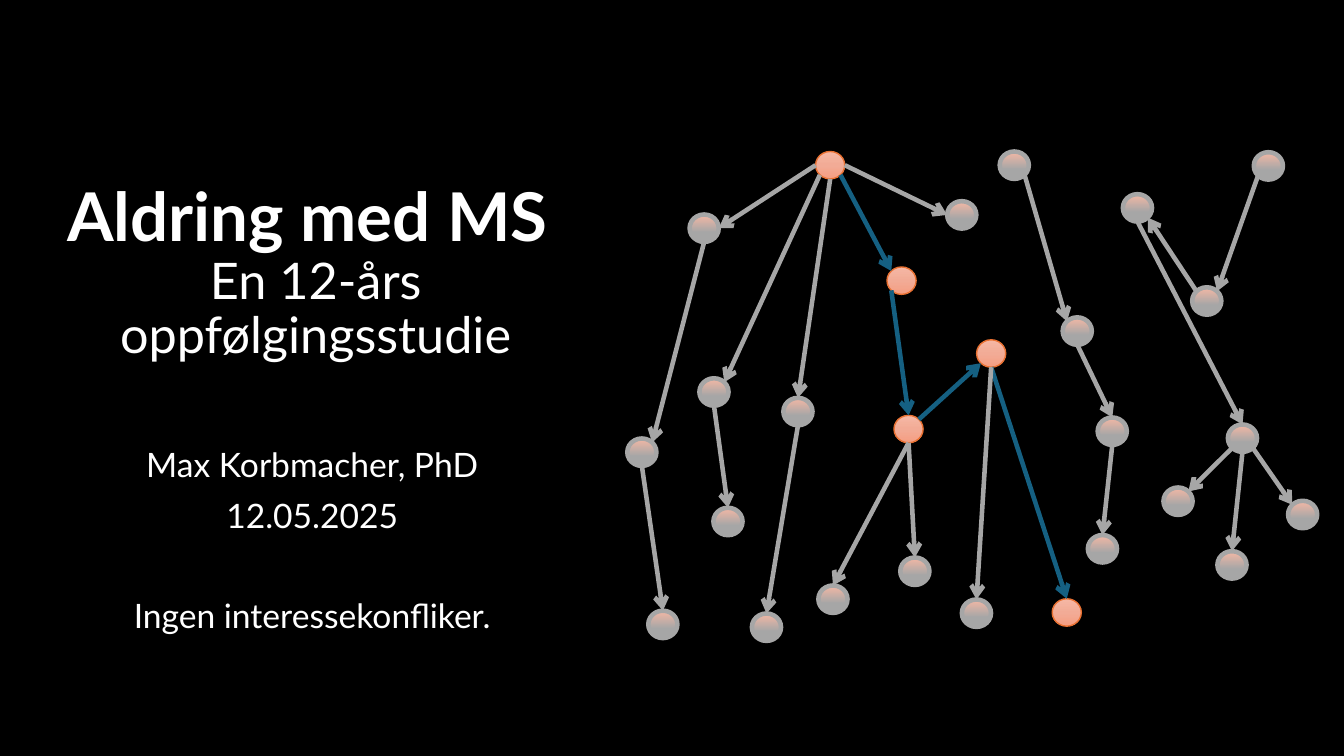
import copy
import math

import lxml.etree
import pptx
import pptx.dml.color
import pptx.enum.shapes
import pptx.enum.text
import pptx.oxml.ns
import pptx.util

Pt = pptx.util.Pt
RGB = pptx.dml.color.RGBColor
qn = pptx.oxml.ns.qn

BLACK = RGB(0x00, 0x00, 0x00)
WHITE = RGB(0xFF, 0xFF, 0xFF)
GREY = RGB(0xA6, 0xA6, 0xA6)
BLUE = RGB(0x15, 0x60, 0x82)
ORANGE = RGB(0xE9, 0x71, 0x32)
PEACH_LIGHT = RGB(0xF5, 0xB8, 0xA5)
PEACH_MID = RGB(0xF2, 0xAB, 0x96)
PEACH_DARK = RGB(0xF5, 0x9E, 0x82)

NODE_W, NODE_H = 20.8, 19.6

# Node centres in points
PATH_NODES = {
    "root": (593, 118), "p1": (644, 200.5), "p2": (649, 306.5),
    "p3": (708, 252.5), "p4": (762, 437.5),
}
GREY_NODES = {
    "a1": (503, 163), "a2": (458.5, 323), "a3": (473.5, 446),
    "b1": (510, 280), "b2": (520, 372.5),
    "c1": (570, 294), "c2": (547.5, 448),
    "d1": (687, 153.5),
    "e1": (595, 428), "e2": (653.5, 408), "e3": (697.5, 438),
    "f1": (724.5, 118), "f2": (769.5, 236.5), "f3": (794.5, 308), "f4": (787.5, 392),
    "g1": (906, 118.5), "g2": (862, 215), "g3": (812.5, 148.5), "g4": (887.5, 313),
    "g5": (841.5, 358), "g6": (880, 403.5), "g7": (930.5, 367.5),
}

# Clockwise angle of each site on a node, from the right
SITES = {"R": 0, "BR": 45, "B": 90, "BL": 135, "L": 180, "TL": 225, "T": 270, "TR": 315}

# Start node and site, end node and site
PATH_ARROWS = [
    ("root", "BR", "p1", "TL"), ("p1", "BL", "p2", "T"),
    ("p2", "TR", "p3", "BL"), ("p3", "B", "p4", "T"),
]
GREY_ARROWS = [
    ("root", "L", "a1", "R"), ("root", "BL", "b1", "TR"),
    ("root", "B", "c1", "T"), ("root", "R", "d1", "L"),
    ("a1", "B", "a2", "TR"), ("a2", "B", "a3", "T"),
    ("b1", "B", "b2", "T"), ("c1", "B", "c2", "T"),
    ("p2", "B", "e1", "T"), ("p2", "B", "e2", "T"), ("p3", "B", "e3", "T"),
    ("f1", "BR", "f2", "TL"), ("f2", "B", "f3", "T"), ("f3", "B", "f4", "T"),
    ("g1", "BL", "g2", "TR"), ("g2", "TL", "g3", "BR"), ("g3", "B", "g4", "T"),
    ("g4", "BL", "g5", "TR"), ("g4", "B", "g6", "T"), ("g4", "BR", "g7", "TL"),
]


def site_point(centre, site):
    angle = math.radians(SITES[site])
    return (centre[0] + NODE_W / 2 * math.cos(angle),
            centre[1] + NODE_H / 2 * math.sin(angle))


class Deck:
    font = "Lato"
    text_color = WHITE
    arrow_width = 3.25

    def __init__(self):
        self.prs = pptx.Presentation()
        self.prs.slide_width, self.prs.slide_height = Pt(960), Pt(540)

    def add_slide(self, color):
        self.s = self.prs.slides.add_slide(self.prs.slide_layouts[6])
        self.s.background.fill.solid()
        self.s.background.fill.fore_color.rgb = color

    def text_box(self, x, y, w, h):
        tf = self.s.shapes.add_textbox(Pt(x), Pt(y), Pt(w), Pt(h)).text_frame
        tf.word_wrap = True
        tf.vertical_anchor = pptx.enum.text.MSO_ANCHOR.MIDDLE
        return tf

    def style(self, p, size):
        p.alignment = pptx.enum.text.PP_ALIGN.CENTER
        p.line_spacing = 0.9
        p.font.name, p.font.size = self.font, Pt(size)
        p.font.color.rgb = self.text_color

    def title(self, box, heading, subheading):
        p = self.text_box(*box).paragraphs[0]
        self.style(p, 36)
        r = p.add_run()
        r.text = heading
        r.font.size, r.font.bold = Pt(48), True
        p.add_line_break()
        p.add_run().text = subheading

    def lines(self, box, items):
        """Write (text, space before) items as paragraphs."""
        tf = self.text_box(*box)
        for i, (text, space) in enumerate(items):
            p = tf.add_paragraph() if i else tf.paragraphs[0]
            p.text = text
            p.space_before = Pt(space)
            self.style(p, 24)

    def node(self, centre, stops, line_color, line_width):
        x, y = centre
        sp = self.s.shapes.add_shape(
            pptx.enum.shapes.MSO_SHAPE.OVAL,
            Pt(x - NODE_W / 2), Pt(y - NODE_H / 2), Pt(NODE_W), Pt(NODE_H))
        sp.shadow.inherit = False
        sp.fill.gradient()
        sp.fill.gradient_angle = 270
        gs_list = sp._element.spPr.find(qn("a:gradFill")).find(qn("a:gsLst"))
        gs_list.append(copy.deepcopy(gs_list[-1]))
        for stop, (position, color) in zip(sp.fill.gradient_stops, stops):
            stop.position = position
            stop.color.rgb = color
        sp.line.color.rgb = line_color
        sp.line.width = Pt(line_width)

    def arrow(self, start, end, color):
        c = self.s.shapes.add_connector(
            pptx.enum.shapes.MSO_CONNECTOR.STRAIGHT, *map(Pt, start + end))
        c.line.color.rgb = color
        c.line.width = Pt(self.arrow_width)
        spPr = c._element.spPr
        lxml.etree.SubElement(spPr.find(qn("a:ln")), qn("a:tailEnd"), type="arrow")
        lxml.etree.SubElement(spPr, qn("a:effectLst"))


def main():
    deck = Deck()
    deck.add_slide(BLACK)
    deck.lines((63.5, 306.5, 319, 162), [
        ("Max Korbmacher, PhD", 0),
        ("12.05.2025", 10),
        ("Ingen interessekonfliker.", 46),
    ])
    deck.title((13, 101.5, 425, 188), "Aldring med MS ", "En 12-års oppfølgingsstudie")

    peach = [(0, PEACH_LIGHT), (0.5, PEACH_MID), (1, PEACH_DARK)]
    faded = [(0, PEACH_LIGHT), (0.65, GREY), (1, GREY)]
    for centre in PATH_NODES.values():
        deck.node(centre, peach, ORANGE, 1)
    for centre in GREY_NODES.values():
        deck.node(centre, faded, GREY, deck.arrow_width)

    nodes = {**PATH_NODES, **GREY_NODES}
    for arrows, color in ((PATH_ARROWS, BLUE), (GREY_ARROWS, GREY)):
        for start, start_site, end, end_site in arrows:
            deck.arrow(site_point(nodes[start], start_site),
                       site_point(nodes[end], end_site), color)

    deck.prs.save("out.pptx")


if __name__ == "__main__":
    main()
